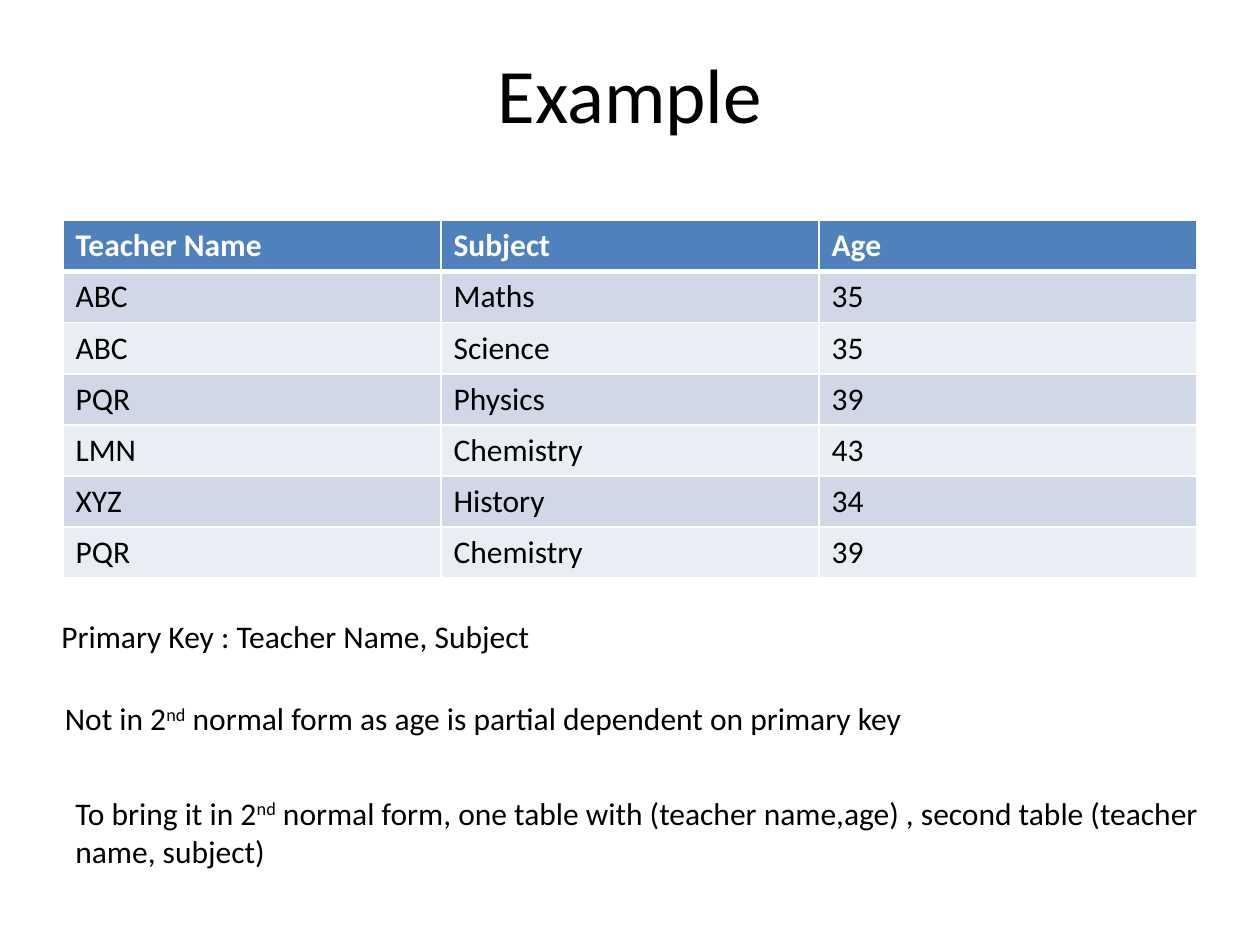
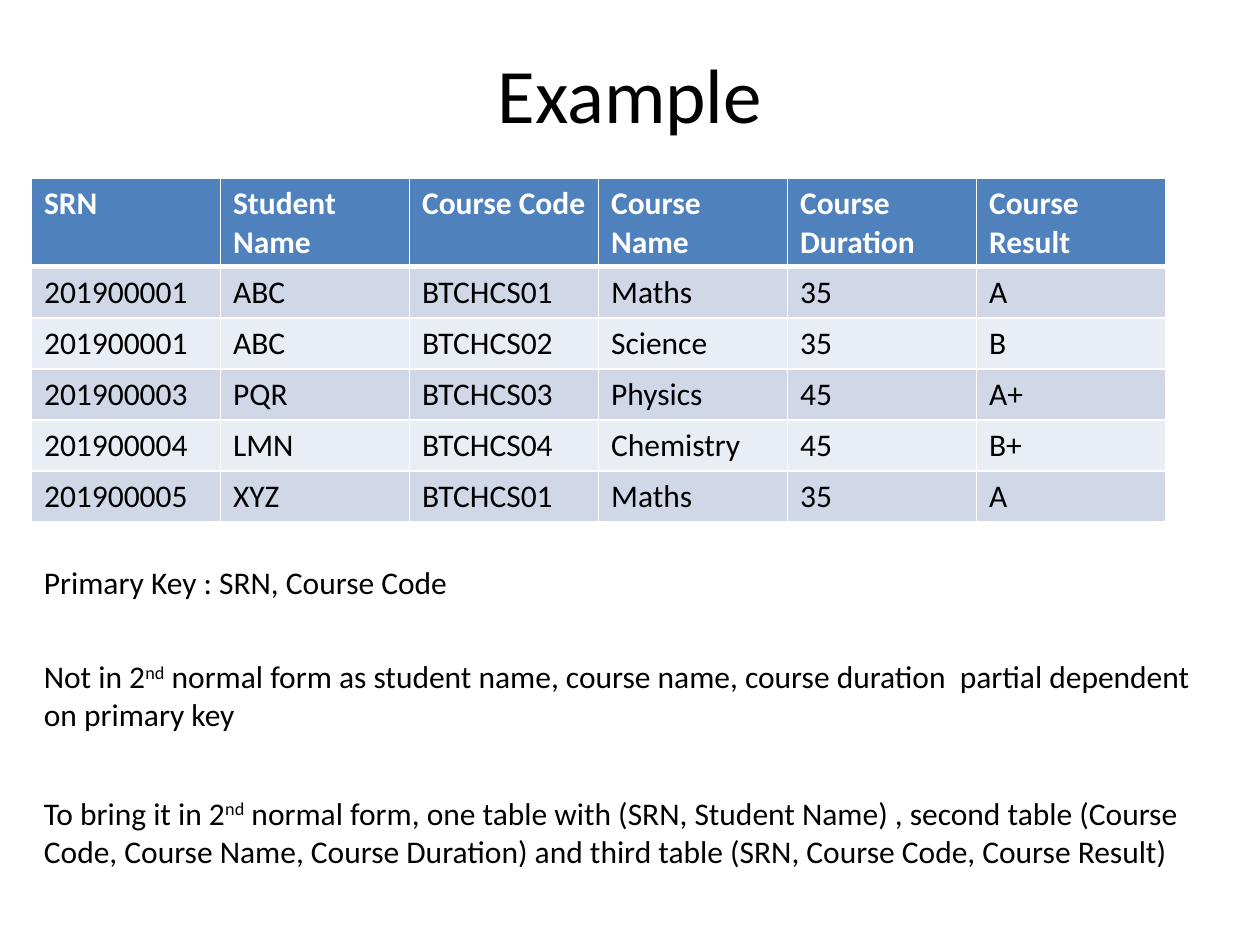
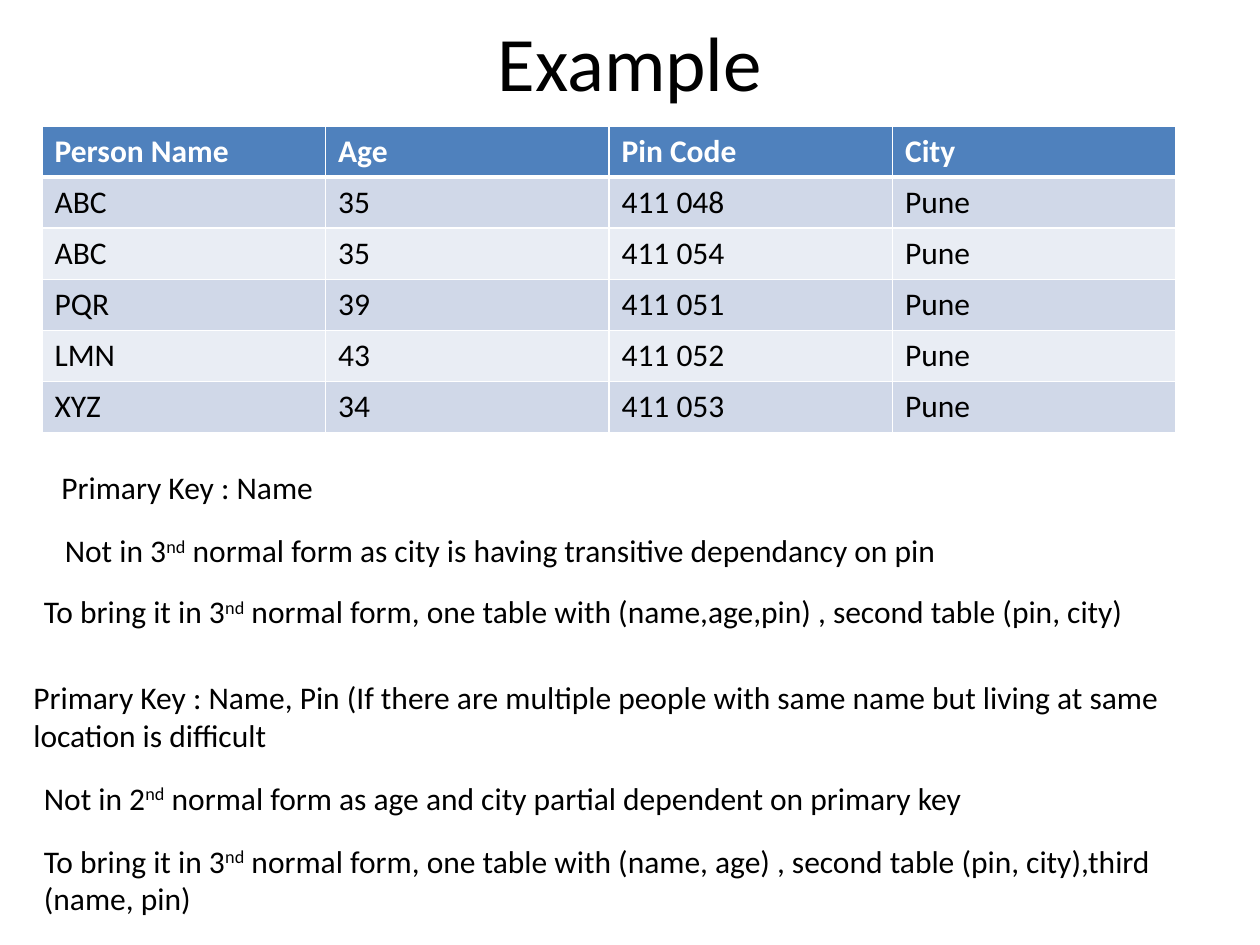
"""Build three slides of worked examples on database normal forms."""
from dataclasses import dataclass

import pptx
import pptx.dml.color
import pptx.enum.text
import pptx.oxml
import pptx.oxml.ns
import pptx.slide
import pptx.table
import pptx.text.text
import pptx.util

Pt = pptx.util.Pt

FONT = "Calibri"
BLACK, WHITE = "000000", "FFFFFF"
HEADER_FILL = "4F81BD"
BAND_FILLS = ("E9EDF4", "D0D8E8")
TITLE_SIZE, BODY_SIZE = 44, 18
TITLE_LEFT, TITLE_WIDTH, TITLE_HEIGHT = 36, 648, 62.6
TABLE_WIDTH, ROW_HEIGHT = 648, 29.2
LINE_HEIGHT, TWO_LINE_HEIGHT = 29, 51
THIN, THICK = 1, 3


@dataclass(frozen=True)
class Note:
    """A line of text below the table, with superscripts between carets."""
    text: str
    left: float
    top: float
    width: float
    height: float = LINE_HEIGHT
    wrap: bool = True


@dataclass(frozen=True)
class Example:
    """One slide: a table, its place and the notes on it."""
    title_top: float
    table_left: float
    table_top: float
    rows: tuple[str, ...]
    notes: tuple[Note, ...]


EXAMPLES = (
    Example(21.6, 36, 126, (
        "Teacher Name|Subject|Age",
        "ABC|Maths|35",
        "ABC|Science|35",
        "PQR|Physics|39",
        "LMN|Chemistry|43",
        "XYZ|History|34",
        "PQR|Chemistry|39",
    ), (
        Note("Primary Key : Teacher Name, Subject", 28, 349.2, 285, wrap=False),
        Note("Not in 2^nd^ normal form as age is partial dependent on primary key",
             30, 396, 500, wrap=False),
        Note("To bring it in 2^nd^ normal form, one table with (teacher name,age) , "
             "second table (teacher name, subject)", 36, 450, 666, TWO_LINE_HEIGHT),
    )),
    Example(21.6, 18, 102, (
        "SRN|Student Name|Course Code|Course Name|Course Duration|Course Result",
        "201900001|ABC|BTCHCS01|Maths|35|A",
        "201900001|ABC|BTCHCS02|Science|35|B",
        "201900003|PQR|BTCHCS03|Physics|45|A+",
        "201900004|LMN|BTCHCS04|Chemistry|45|B+",
        "201900005|XYZ|BTCHCS01|Maths|35|A",
    ), (
        Note("Primary Key : SRN, Course Code", 18, 318, 248, wrap=False),
        Note("Not in 2^nd^ normal form as student name, course name, course duration  "
             "partial dependent on primary key", 18, 372, 684, TWO_LINE_HEIGHT),
        Note("To bring it in 2^nd^ normal form, one table with (SRN, Student Name) , "
             "second table (Course Code, Course Name, Course Duration) and third table "
             "(SRN, Course Code, Course Result)", 18, 450, 666, TWO_LINE_HEIGHT),
    )),
    Example(3.6, 24, 72, (
        "Person Name|Age|Pin Code|City",
        "ABC|35|411 048|Pune",
        "ABC|35|411 054|Pune",
        "PQR|39|411 051|Pune",
        "LMN|43|411 052|Pune",
        "XYZ|34|411 053|Pune",
    ), (
        Note("Primary Key : Name", 28, 264, 160, wrap=False),
        Note("Not in 3^nd^ normal form as city is having transitive dependancy on pin",
             30, 300, 537, wrap=False),
        Note("To bring it in 3^nd^ normal form, one table with (name,age,pin) , "
             "second table (pin, city)", 18, 335, 666),
        Note("Primary Key : Name, Pin (If there are multiple people with same name but "
             "living at same location is difficult", 12, 384, 684, TWO_LINE_HEIGHT),
        Note("Not in 2^nd^ normal form as age and city partial dependent on primary key",
             18, 441.4, 558, wrap=False),
        Note("To bring it in 3^nd^ normal form, one table with (name, age) , "
             "second table (pin, city),third (name, pin)", 18, 477.4, 666, TWO_LINE_HEIGHT),
    )),
)


def rgb(color: str) -> pptx.dml.color.RGBColor:
    """Turn a hex string into a colour."""
    return pptx.dml.color.RGBColor.from_string(color)


def style(p: pptx.text.text._Paragraph, size: float, color: str = BLACK,
          bold: bool = False) -> None:
    """Set the font of a paragraph."""
    p.font.name, p.font.size, p.font.bold = FONT, Pt(size), bold
    p.font.color.rgb = rgb(color)


def add_title(s: pptx.slide.Slide, top: float) -> None:
    """Draw the slide title."""
    tf = s.shapes.add_textbox(Pt(TITLE_LEFT), Pt(top), Pt(TITLE_WIDTH),
                              Pt(TITLE_HEIGHT)).text_frame
    tf.word_wrap = True
    tf.vertical_anchor = pptx.enum.text.MSO_ANCHOR.MIDDLE
    p = tf.paragraphs[0]
    p.text = "Example"
    p.alignment = pptx.enum.text.PP_ALIGN.CENTER
    style(p, TITLE_SIZE)


def add_note(s: pptx.slide.Slide, note: Note) -> None:
    """Draw a note, raising the parts between carets."""
    tf = s.shapes.add_textbox(Pt(note.left), Pt(note.top), Pt(note.width),
                              Pt(note.height)).text_frame
    tf.word_wrap = note.wrap
    tf.auto_size = pptx.enum.text.MSO_AUTO_SIZE.SHAPE_TO_FIT_TEXT
    p = tf.paragraphs[0]
    style(p, BODY_SIZE)
    for i, part in enumerate(note.text.split("^")):
        r = p.add_run()
        r.text = part
        if i % 2:
            r._r.get_or_add_rPr().set("baseline", "30000")


def set_borders(cell: pptx.table._Cell, top: float, bottom: float) -> None:
    """Give a cell white borders."""
    tc_pr = cell._tc.get_or_add_tcPr()
    for side, width in (("L", THIN), ("R", THIN), ("T", top), ("B", bottom)):
        tc_pr.append(pptx.oxml.parse_xml(
            f'<a:ln{side} {pptx.oxml.ns.nsdecls("a")} w="{Pt(width)}"><a:solidFill>'
            f'<a:srgbClr val="{WHITE}"/></a:solidFill></a:ln{side}>'))


def add_table(s: pptx.slide.Slide, example: Example) -> None:
    """Draw a table with a header row and banded rows below it."""
    rows = [row.split("|") for row in example.rows]
    table = s.shapes.add_table(
        len(rows), len(rows[0]), Pt(example.table_left), Pt(example.table_top),
        Pt(TABLE_WIDTH), Pt(ROW_HEIGHT * len(rows))).table
    for i, row in enumerate(rows):
        header = i == 0
        table.rows[i].height = Pt(ROW_HEIGHT)
        for j, text in enumerate(row):
            cell = table.cell(i, j)
            cell.text = text
            style(cell.text_frame.paragraphs[0], BODY_SIZE,
                  WHITE if header else BLACK, header)
            set_borders(cell, THICK if i == 1 else THIN, THICK if header else THIN)
            cell.fill.solid()
            cell.fill.fore_color.rgb = rgb(HEADER_FILL if header else BAND_FILLS[i % 2])


def main() -> None:
    """Build and save the presentation."""
    prs = pptx.Presentation()
    prs.slide_width, prs.slide_height = Pt(720), Pt(540)
    for example in EXAMPLES:
        s = prs.slides.add_slide(prs.slide_layouts[6])
        add_title(s, example.title_top)
        add_table(s, example)
        for note in example.notes:
            add_note(s, note)
    prs.save("out.pptx")


if __name__ == "__main__":
    main()
